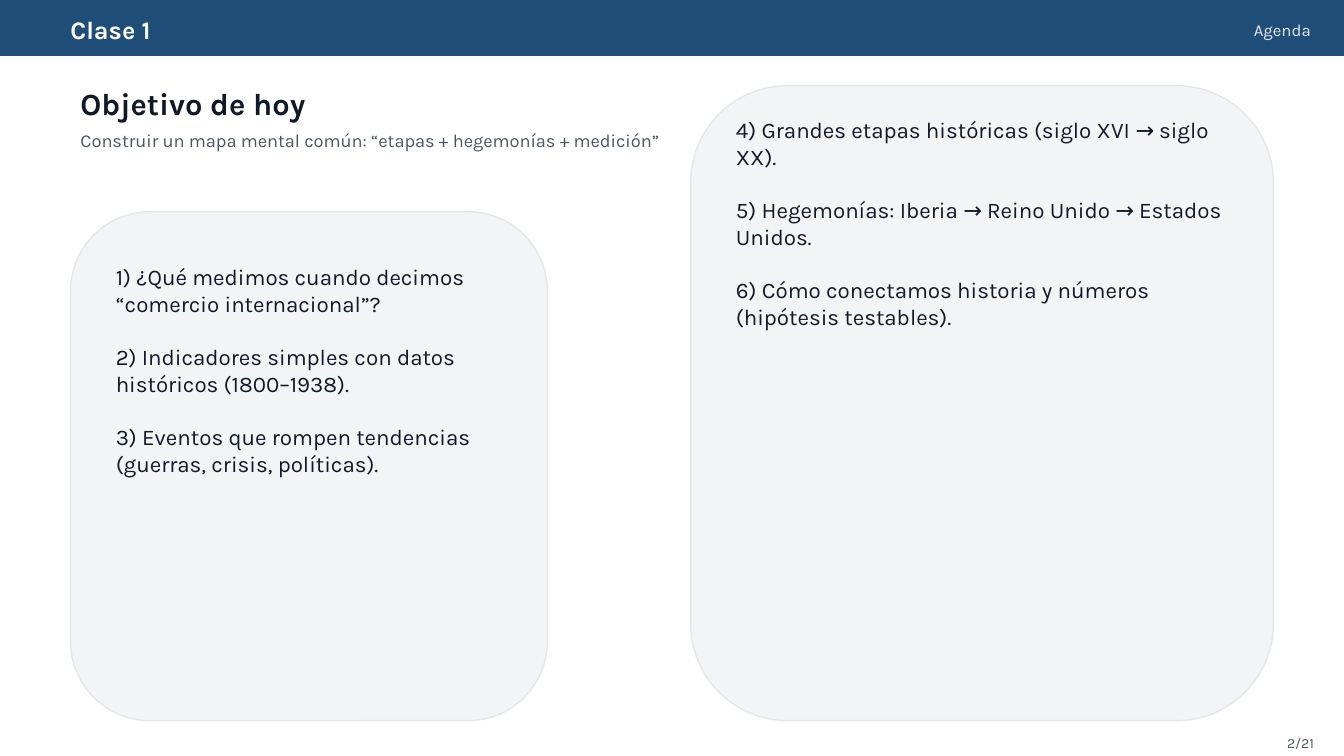
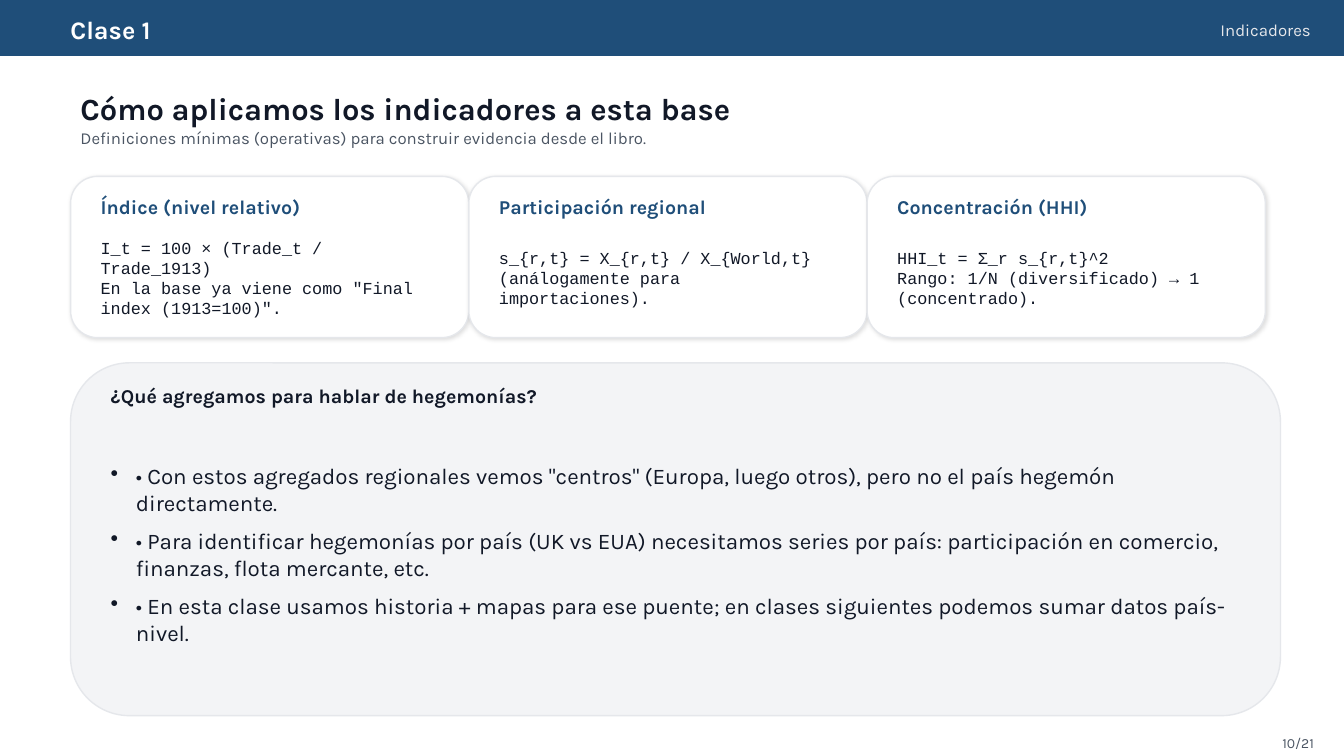
from lxml import etree
from pptx import Presentation
from pptx.dml.color import RGBColor
from pptx.enum.shapes import MSO_SHAPE
from pptx.enum.text import MSO_ANCHOR, PP_ALIGN
from pptx.oxml.ns import qn
from pptx.util import Inches, Pt

RECTANGLE, ROUNDED = MSO_SHAPE.RECTANGLE, MSO_SHAPE.ROUNDED_RECTANGLE
TOP, MIDDLE = MSO_ANCHOR.TOP, MSO_ANCHOR.MIDDLE
LEFT, RIGHT = PP_ALIGN.LEFT, PP_ALIGN.RIGHT


class Theme:
    font, code_font = "Karla", "Courier New"
    navy = RGBColor(0x1F, 0x4E, 0x79)
    ink = RGBColor(0x11, 0x18, 0x27)
    muted = RGBColor(0x4B, 0x55, 0x63)
    border = RGBColor(0xE5, 0xE7, 0xEB)
    panel = RGBColor(0xF3, 0xF4, 0xF6)
    white = RGBColor(0xFF, 0xFF, 0xFF)
    title, brand, body, heading, lead, small, footer = 22, 18, 16, 14, 13, 12, 10


def add_panel(slide, box, kind=ROUNDED, fill=Theme.panel, line=Theme.border, shadow=False):
    shape = slide.shapes.add_shape(kind, *map(Inches, box))
    shape.fill.solid()
    shape.fill.fore_color.rgb = fill
    shape.line.color.rgb = line
    shape.line.width = Pt(1)
    shape.shadow.inherit = False
    if shadow:
        effects = shape.element.spPr.find(qn("a:effectLst"))
        outer = etree.SubElement(effects, qn("a:outerShdw"), blurRad=str(Pt(3)),
                                 dist=str(Pt(1)), dir="2700000", rotWithShape="0")
        color = etree.SubElement(outer, qn("a:srgbClr"), val="000000")
        etree.SubElement(color, qn("a:alpha"), val="12000")


def add_text(slide, box, lines, size, color=Theme.ink, font=Theme.font, bold=False,
             align=LEFT, anchor=MIDDLE, gap=0, bullets=False):
    frame = slide.shapes.add_textbox(*map(Inches, box)).text_frame
    frame.word_wrap = True
    frame.vertical_anchor = anchor
    for index, line in enumerate(lines):
        paragraph = frame.paragraphs[0] if index == 0 else frame.add_paragraph()
        if bullets:
            properties = paragraph._p.get_or_add_pPr()
            properties.set("marL", str(Inches(0.25)))
            properties.set("indent", str(Inches(-0.25)))
            etree.SubElement(properties, qn("a:buChar"), char="•")
        paragraph.alignment = align
        paragraph.space_after = Pt(gap)
        run = paragraph.add_run()
        run.text = line
        run.font.name = font
        run.font.size = Pt(size)
        run.font.bold = bold
        run.font.color.rgb = color


presentation = Presentation()
presentation.slide_width = Inches(13.33)
presentation.slide_height = Inches(7.5)

# Shared frame: band, section, title, subtitle and page number
# Section, page, title, title height, subtitle, subtitle height, subtitle size
frames = [
    ("Agenda", 2, "Objetivo de hoy", 0.35,
     "Construir un mapa mental común: “etapas + hegemonías + medición”", 0.35, Theme.lead),
    ("Indicadores", 10, "Cómo aplicamos los indicadores a esta base", 0.45,
     "Definiciones mínimas (operativas) para construir evidencia desde el libro.", 0.3, Theme.small),
]
slides = []
for section, page, title, title_height, subtitle, subtitle_height, subtitle_size in frames:
    slide = presentation.slides.add_slide(presentation.slide_layouts[6])
    add_panel(slide, (0, 0, 13.33, 0.55), RECTANGLE, Theme.navy, Theme.navy)
    add_text(slide, (0.6, 0.12, 9.8, 0.35), ["Clase 1"], Theme.brand, Theme.white, bold=True)
    add_text(slide, (10.2, 0.15, 2.9, 0.3), [section], Theme.small, Theme.border, align=RIGHT)
    add_text(slide, (0.7, 0.85, 12, title_height), [title], Theme.title, bold=True)
    add_text(slide, (0.7, 1.22, 12, subtitle_height), [subtitle], subtitle_size, Theme.muted)
    add_text(slide, (12.23, 7.27, 0.9, 0.2), [f"{page}/21"], Theme.footer, Theme.muted, align=RIGHT)
    slides.append(slide)
agenda, indicators = slides

# Agenda: two panels with numbered points
agenda_panels = [
    ((0.7, 2.1, 4.73, 5.05), (1.05, 2.56, 4.11, 4.44), [
        "1) ¿Qué medimos cuando decimos “comercio internacional”?",
        "2) Indicadores simples con datos históricos (1800–1938).",
        "3) Eventos que rompen tendencias (guerras, crisis, políticas).",
    ]),
    ((6.85, 0.85, 5.78, 6.3), (7.2, 1.1, 5.18, 5.9), [
        "4) Grandes etapas históricas (siglo XVI → siglo XX).",
        "5) Hegemonías: Iberia → Reino Unido → Estados Unidos.",
        "6) Cómo conectamos historia y números (hipótesis testables).",
    ]),
]
for panel_box, text_box, points in agenda_panels:
    add_panel(agenda, panel_box)
    add_text(agenda, text_box, points, Theme.body, anchor=TOP, gap=19)

# Indicators: a row of formula cards
cards = [
    ("Índice (nivel relativo)",
     ["I_t = 100 × (Trade_t / Trade_1913)",
      'En la base ya viene como "Final index (1913=100)".']),
    ("Participación regional",
     ["s_{r,t} = X_{r,t} / X_{World,t}", "(análogamente para importaciones)."]),
    ("Concentración (HHI)",
     ["HHI_t = Σ_r s_{r,t}^2", "Rango: 1/N (diversificado) → 1 (concentrado)."]),
]
card_width, card_padding = 3.95, 0.2
for index, (heading, formula) in enumerate(cards):
    left = 0.7 + index * card_width
    text_left, text_width = left + card_padding, card_width - 2 * card_padding
    add_panel(indicators, (left, 1.75, card_width, 1.6), fill=Theme.white, shadow=True)
    add_text(indicators, (text_left, 1.9, text_width, 0.3), [heading],
             Theme.heading, Theme.navy, bold=True)
    add_text(indicators, (text_left, 2.23, text_width, 1.05), formula,
             Theme.small, font=Theme.code_font)

# Indicators: closing panel
add_panel(indicators, (0.7, 3.6, 12, 3.5))
add_text(indicators, (1, 3.78, 11.4, 0.3), ["¿Qué agregamos para hablar de hegemonías?"],
         Theme.heading, bold=True)
add_text(indicators, (1, 4.15, 11.4, 2.7), [
    '• Con estos agregados regionales vemos "centros" (Europa, luego otros), '
    "pero no el país hegemón directamente.",
    "• Para identificar hegemonías por país (UK vs EUA) necesitamos series por país: "
    "participación en comercio, finanzas, flota mercante, etc.",
    "• En esta clase usamos historia + mapas para ese puente; "
    "en clases siguientes podemos sumar datos país-nivel.",
], Theme.body, gap=8, bullets=True)

presentation.save("out.pptx")
